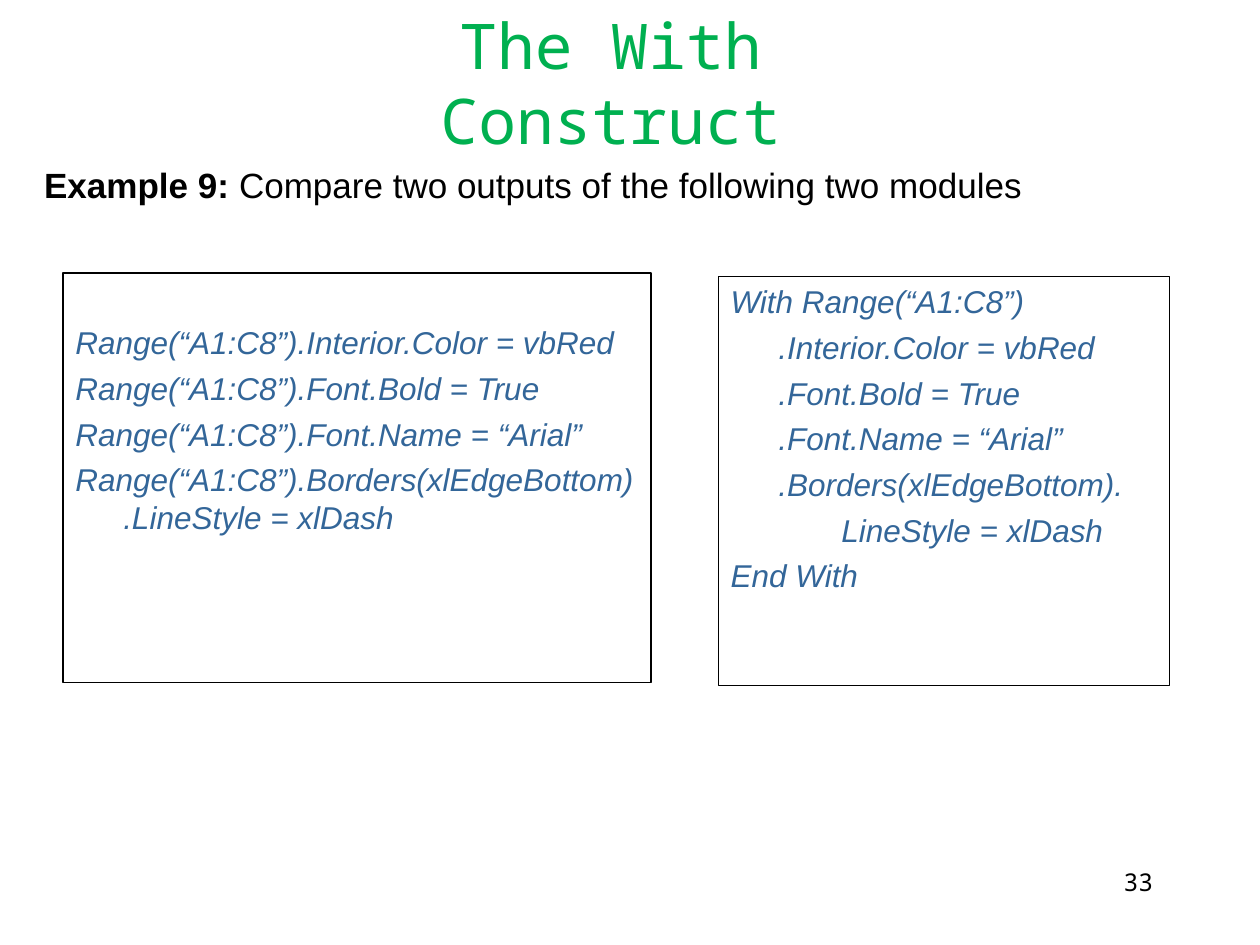
from dataclasses import dataclass
from typing import Any

from lxml import etree
from pptx import Presentation
from pptx import util as u
from pptx.dml.color import RGBColor
from pptx.enum import shapes, text
from pptx.oxml.ns import qn

COLUMNS_PER_INCH = 12
MONO = "Noto Sans Mono"
INDENT = u.Inches(0.38)

FRAME = {"word_wrap": True, "auto_size": text.MSO_AUTO_SIZE.NONE,
         "vertical_anchor": text.MSO_ANCHOR.TOP,
         "margin_left": u.Inches(0.1), "margin_right": u.Inches(0.1),
         "margin_top": u.Inches(0.05), "margin_bottom": u.Inches(0.05)}
TITLE = {"name": MONO, "size": u.Pt(36), "bold": False}
NUMBER = {"name": MONO, "size": u.Pt(14)}
BODY = {"name": "Arial", "size": u.Pt(20)}
CODE = {"name": "Arial", "size": u.Pt(18), "italic": True}

PLAIN_CODE = ["Range(“A1:C8”).Interior.Color = vbRed",
              "Range(“A1:C8”).Font.Bold = True",
              "Range(“A1:C8”).Font.Name = “Arial”",
              "Range(“A1:C8”).Borders(xlEdgeBottom).LineStyle = xlDash"]
WITH_CODE = ["With Range(“A1:C8”)",
             "\t.Interior.Color = vbRed",
             "\t.Font.Bold = True",
             "\t.Font.Name = “Arial”",
             "\t.Borders(xlEdgeBottom).",
             "\t\tLineStyle = xlDash",
             "End With"]


def color(value):
    """Turn a hex string into a colour."""
    return RGBColor.from_string(value)


def apply(target, values):
    """Set attributes from a dict of format values."""
    for name, value in values.items():
        setattr(target, name, value)


@dataclass
class Deck:
    """Hold the style and the current slide."""
    slide: Any
    ink: str = "000000"
    accent: str = "00B050"
    code_ink: str = "336699"

    def place(self, shape, left, top, width, height):
        """Put a shape on the grid."""
        cells = {"left": left, "top": top, "width": width, "height": height}
        apply(shape, {name: u.Inches(cell / COLUMNS_PER_INCH)
                      for name, cell in cells.items()})

    def run(self, paragraph, words, style, ink):
        """Add a formatted run to a paragraph."""
        run = paragraph.add_run()
        run.text = words
        apply(run.font, style)
        run.font.color.rgb = color(ink)

    def paragraph(self, frame, index, align, indent=0):
        """Prepare a paragraph without a bullet and with tabs at each inch."""
        paragraph = frame.paragraphs[0] if index == 0 else frame.add_paragraph()
        properties = paragraph._p.get_or_add_pPr()
        properties.set("marL", str(indent))
        properties.set("indent", str(-indent))
        etree.SubElement(properties, qn("a:buNone"))
        tabs = etree.SubElement(properties, qn("a:tabLst"))
        for inch in range(8):
            etree.SubElement(tabs, qn("a:tab"), pos=str(u.Inches(inch)), algn="l")
        apply(paragraph, {"alignment": align,
                          "space_before": u.Pt(4.5 if index else 0)})
        return paragraph

    def line(self, shape, cells, runs, align):
        """Place a shape that holds one line of text."""
        self.place(shape, *cells)
        apply(shape.text_frame, FRAME)
        paragraph = self.paragraph(shape.text_frame, 0, align)
        for words, style, ink in runs:
            self.run(paragraph, words, style, ink)

    def title(self, words, *cells):
        """Fill the title placeholder."""
        self.line(self.slide.shapes.title, cells,
                  [(words, TITLE, self.accent)], text.PP_ALIGN.CENTER)

    def body(self, label, words, *cells):
        """Fill the body placeholder with a bold label and a sentence."""
        self.line(self.slide.placeholders[1], cells,
                  [(label, {**BODY, "bold": True}, self.ink),
                   (words, {**BODY, "bold": False}, self.ink)],
                  text.PP_ALIGN.LEFT)

    def number(self, words, *cells):
        """Add the slide number."""
        self.line(self.slide.shapes.add_textbox(0, 0, 0, 0), cells,
                  [(words, NUMBER, self.ink)], text.PP_ALIGN.RIGHT)

    def code(self, lines, *cells, margin=0.05):
        """Add an outlined box of code."""
        box = self.slide.shapes.add_shape(shapes.MSO_SHAPE.RECTANGLE, 0, 0, 0, 0)
        self.place(box, *cells)
        box.shadow.inherit = False
        box.fill.background()
        box.line.color.rgb = color(self.ink)
        box.line.width = u.Pt(0.75)
        apply(box.text_frame, {**FRAME, "margin_top": u.Inches(margin)})
        for index, words in enumerate(lines):
            paragraph = self.paragraph(box.text_frame, index,
                                       text.PP_ALIGN.LEFT, INDENT)
            self.run(paragraph, words, CODE, self.code_ink)


def main():
    """Build and save the slide."""
    presentation = Presentation()
    apply(presentation, {"slide_width": u.Inches(10), "slide_height": u.Inches(7.5)})
    deck = Deck(presentation.slides.add_slide(presentation.slide_layouts[1]))
    deck.title("The With Construct", 30, 0, 56.3, 8.4)
    deck.body("Example 9: ", "Compare two outputs of the following two modules",
              3, 15, 115, 19)
    deck.code(PLAIN_CODE, 6, 26, 56, 39, margin=0.4)
    deck.code(WITH_CODE, 68.4, 26.3, 43, 39)
    deck.number("33", 104, 82, 7, 6)
    presentation.save("out.pptx")


if __name__ == "__main__":
    main()
